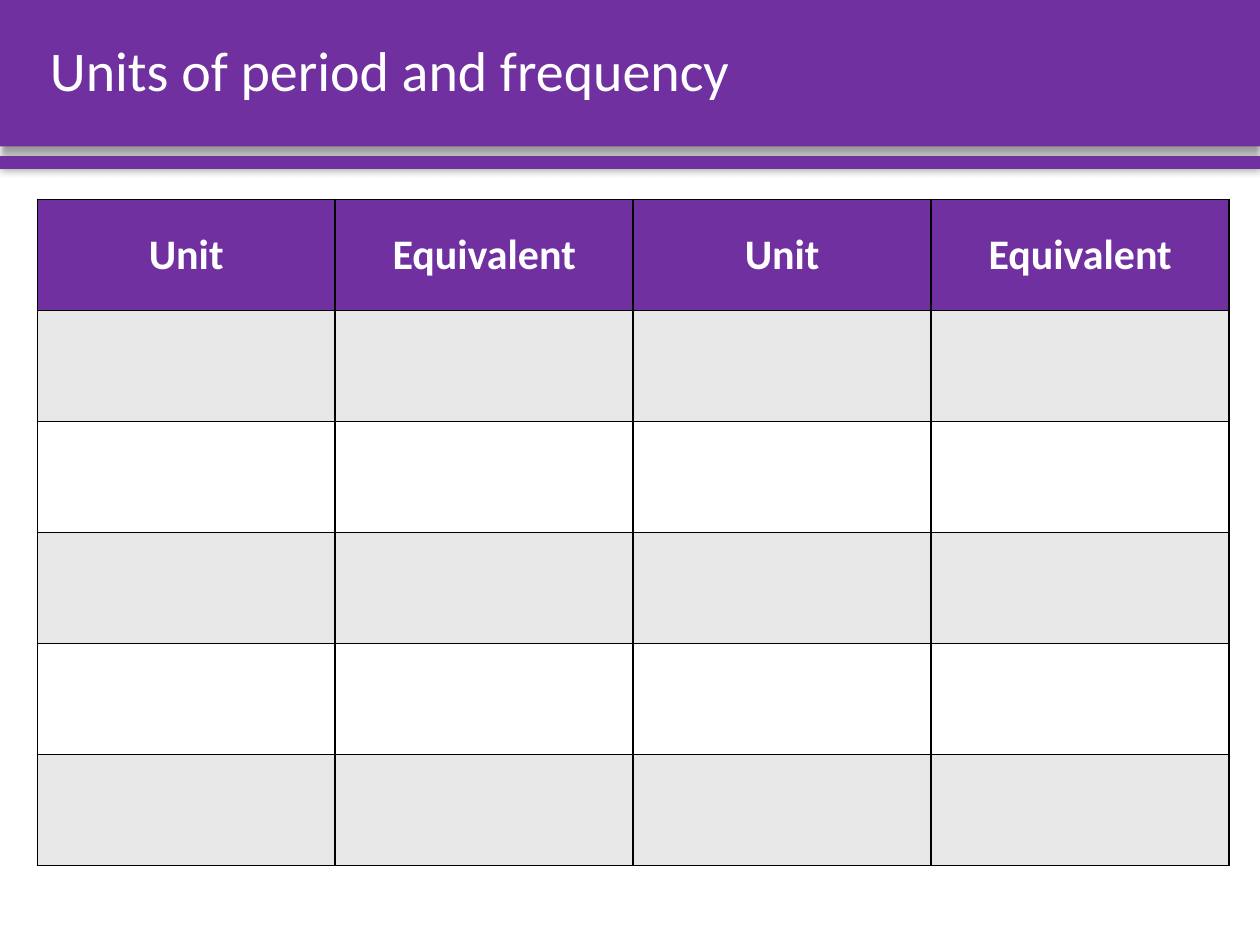
from dataclasses import dataclass

import pptx
import pptx.dml.color
import pptx.enum.shapes
import pptx.enum.text
import pptx.oxml
import pptx.oxml.ns
import pptx.util
from pptx.util import Pt

COLORS = {
    "purple": "7030A0",
    "white": "FFFFFF",
    "gray": "E7E7E7",
    "black": "000000",
}
FONT = "Calibri"
SLIDE_WIDTH, SLIDE_HEIGHT = 720, 540
CONTENT_LEFT, CONTENT_WIDTH = 21.3, 681.2
TABLE_TOP, ROW_HEIGHT, ROW_COUNT = 113.9, 63.45, 6
HEADINGS = ["Unit", "Equivalent"] * 2


@dataclass
class Bar:
    top: float
    height: float
    blur: float
    distance: float
    direction: int  # degrees


BARS = [
    Bar(top=0, height=83.7, blur=4, distance=3, direction=90),
    Bar(top=89.3, height=7.2, blur=5, distance=0, direction=0),
]


def rgb(name: str) -> pptx.dml.color.RGBColor:
    return pptx.dml.color.RGBColor.from_string(COLORS[name])


def draw_bar(slide: pptx.slide.Slide, bar: Bar) -> None:
    shape = slide.shapes.add_shape(
        pptx.enum.shapes.MSO_SHAPE.RECTANGLE,
        Pt(0), Pt(bar.top), Pt(SLIDE_WIDTH), Pt(bar.height))
    shape.fill.solid()
    shape.fill.fore_color.rgb = rgb("purple")
    shape.line.fill.background()
    shape.shadow.inherit = False
    effects = shape.element.spPr.find(pptx.oxml.ns.qn("a:effectLst"))
    effects.append(pptx.oxml.parse_xml(
        f'<a:outerShdw {pptx.oxml.ns.nsdecls("a")} blurRad="{Pt(bar.blur)}" '
        f'dist="{Pt(bar.distance)}" dir="{bar.direction * 60000}" '
        f'algn="ctr" rotWithShape="0"><a:srgbClr val="{COLORS["black"]}">'
        '<a:alpha val="40000"/></a:srgbClr></a:outerShdw>'))


def format_cell(cell: pptx.table._Cell, fill: str) -> None:
    properties = cell._tc.get_or_add_tcPr()
    for side in ("lnL", "lnR", "lnT", "lnB"):
        properties.append(pptx.oxml.parse_xml(
            f'<a:{side} {pptx.oxml.ns.nsdecls("a")} w="{Pt(1)}"><a:solidFill>'
            f'<a:srgbClr val="{COLORS["black"]}"/></a:solidFill></a:{side}>'))
    cell.fill.solid()
    cell.fill.fore_color.rgb = rgb(fill)
    cell.vertical_anchor = pptx.enum.text.MSO_ANCHOR.MIDDLE


def format_paragraph(paragraph: pptx.text.text._Paragraph, size: float,
                     bold: bool) -> None:
    paragraph.font.name = FONT
    paragraph.font.size = Pt(size)
    paragraph.font.bold = bold
    paragraph.font.color.rgb = rgb("white")


def draw_table(slide: pptx.slide.Slide) -> None:
    table = slide.shapes.add_table(
        ROW_COUNT, len(HEADINGS), Pt(CONTENT_LEFT), Pt(TABLE_TOP),
        Pt(CONTENT_WIDTH), Pt(ROW_HEIGHT * ROW_COUNT)).table
    for row_index, row in enumerate(table.rows):
        row.height = Pt(ROW_HEIGHT)
        band = "gray" if row_index % 2 else "white"
        for cell in row.cells:
            format_cell(cell, band if row_index else "purple")
    for cell, heading in zip(table.rows[0].cells, HEADINGS):
        cell.text = heading
        paragraph = cell.text_frame.paragraphs[0]
        paragraph.alignment = pptx.enum.text.PP_ALIGN.CENTER
        format_paragraph(paragraph, 24, True)


def draw_title(slide: pptx.slide.Slide, text: str) -> None:
    title = slide.shapes.title
    title.left, title.top = Pt(CONTENT_LEFT), Pt(0)
    title.width, title.height = Pt(CONTENT_WIDTH), Pt(BARS[0].height)
    title.text_frame.text = text
    title.text_frame.word_wrap = True
    title.text_frame.vertical_anchor = pptx.enum.text.MSO_ANCHOR.MIDDLE
    paragraph = title.text_frame.paragraphs[0]
    paragraph.alignment = pptx.enum.text.PP_ALIGN.LEFT
    paragraph.line_spacing = 0.9
    format_paragraph(paragraph, 32, False)
    # Bring the title in front of the header bar
    title.element.getparent().append(title.element)


def main() -> None:
    presentation = pptx.Presentation()
    presentation.slide_width = Pt(SLIDE_WIDTH)
    presentation.slide_height = Pt(SLIDE_HEIGHT)
    slide = presentation.slides.add_slide(presentation.slide_layouts[5])

    # Header bars
    for bar in BARS:
        draw_bar(slide, bar)

    # Table of units, with blank rows to fill in
    draw_table(slide)

    # Title
    draw_title(slide, "Units of period and frequency")

    presentation.save("out.pptx")


if __name__ == "__main__":
    main()
